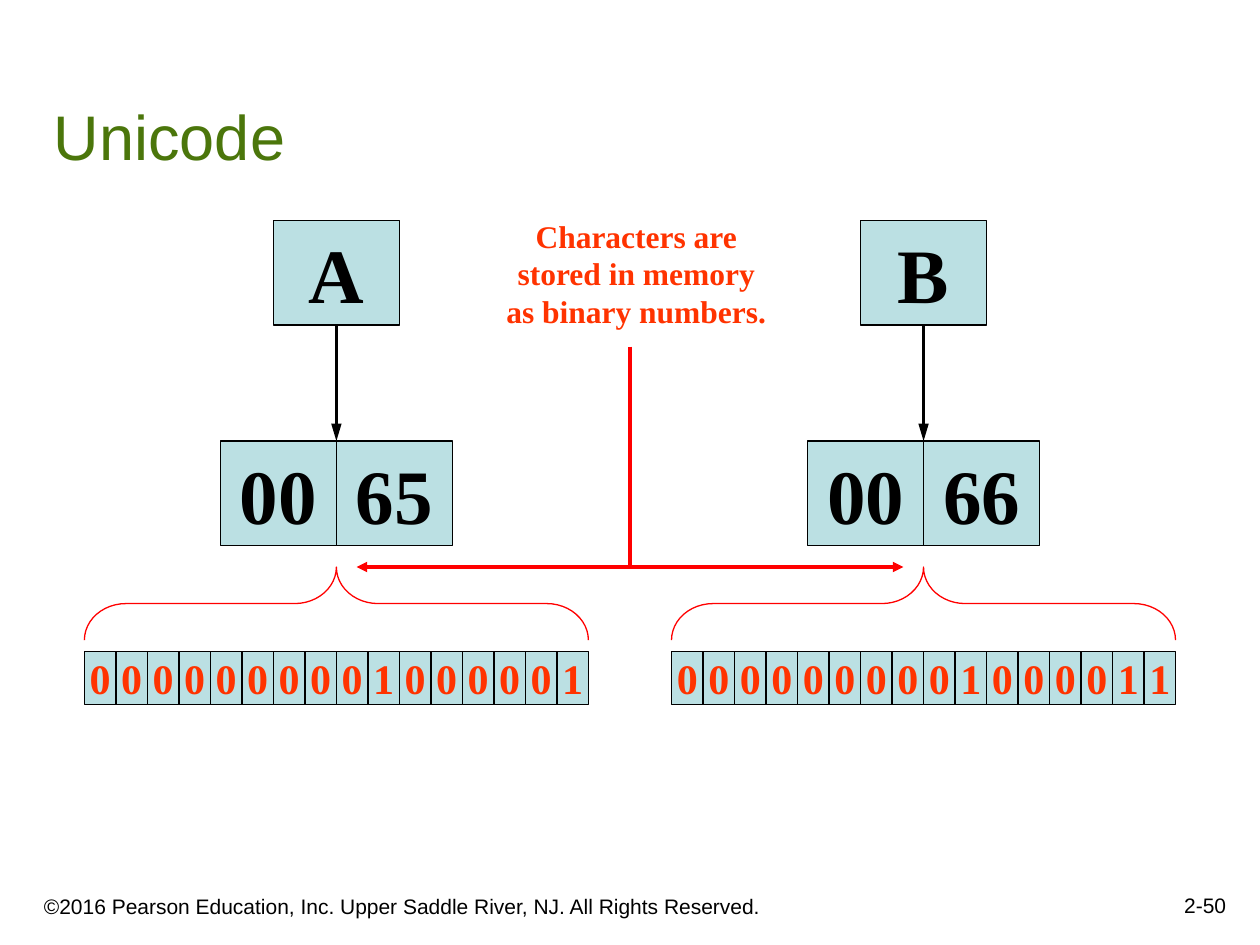
from lxml import etree
from pptx import Presentation
from pptx.dml.color import RGBColor
from pptx.enum.shapes import MSO_CONNECTOR, MSO_SHAPE
from pptx.enum.text import MSO_ANCHOR, PP_ALIGN
from pptx.oxml.ns import qn
from pptx.util import Inches, Pt

LEFT, CENTER, RIGHT = PP_ALIGN.LEFT, PP_ALIGN.CENTER, PP_ALIGN.RIGHT
TOP, MIDDLE, BOTTOM = MSO_ANCHOR.TOP, MSO_ANCHOR.MIDDLE, MSO_ANCHOR.BOTTOM
RECTANGLE, BRACE = MSO_SHAPE.RECTANGLE, MSO_SHAPE.RIGHT_BRACE
STRAIGHT = MSO_CONNECTOR.STRAIGHT

TITLE = "Unicode"
CAPTION = ["Characters are", "stored in memory\vas binary numbers."]
COPYRIGHT = "©2016 Pearson Education, Inc. Upper Saddle River, NJ. All Rights Reserved."
PAGE_NUMBER = "2-50"
# Each letter: horizontal centre, character, two code bytes, sixteen bits
LETTERS = [
    (2.67, "A", ("00", "65"), "0000000001000001"),
    (7.33, "B", ("00", "66"), "0000000001000011"),
]


def color(value):
    return RGBColor.from_string(value)


BLACK, RED = color("000000"), color("FF0000")
SANS, SERIF = "Arial", "Times New Roman"
THEME = {
    "cell": color("BBE0E3"),
    "title": {"name": SANS, "size": Pt(36), "color": color("4B760B")},
    "footer": {"name": SANS, "size": Pt(12), "color": BLACK},
    "code": {"name": SERIF, "size": Pt(44), "bold": True, "color": BLACK},
    "bit": {"name": SERIF, "size": Pt(24), "bold": True, "color": color("FF3300")},
    "caption": {"name": SERIF, "size": Pt(18), "bold": True, "color": color("FF3300")},
    "thin": {"color": BLACK, "width": Pt(0.75)},
    "arrow": {"color": BLACK, "width": Pt(1.5)},
    "brace": {"color": RED, "width": Pt(0.75)},
    "pointer": {"color": RED, "width": Pt(2)},
}

CHAR_TOP, CODE_TOP, BIT_TOP = 1.75, 3.5, 5.17
CHAR_WIDTH, CODE_WIDTH, BIT_WIDTH = 1, 0.92, 0.25
BOX_HEIGHT, BIT_HEIGHT = 0.83, 0.42
POINTER_TOP, POINTER_BOTTOM, POINTER_GAP = 2.75, 4.5, 0.16
BRACE_DEPTH = 0.58
MIDLINE = 5


def set_line(shape, style):
    shape.line.color.rgb = style["color"]
    shape.line.width = style["width"]


def write(box, paragraphs, style, align, anchor, wrap):
    frame = box.text_frame
    frame.word_wrap = wrap
    frame.vertical_anchor = anchor
    for index, text in enumerate(paragraphs):
        para = frame.paragraphs[0] if index == 0 else frame.add_paragraph()
        para.text = text
        para.alignment = align
        for span in para.runs:
            for key, value in style.items():
                if key == "color":
                    span.font.color.rgb = value
                else:
                    setattr(span.font, key, value)


def add_text(page, place, paragraphs, style, align, anchor, wrap=True):
    box = page.shapes.add_textbox(*map(Inches, place))
    write(box, paragraphs, style, align, anchor, wrap)


def add_cell(page, place, text, style):
    box = page.shapes.add_shape(RECTANGLE, *map(Inches, place))
    box.shadow.inherit = False
    box.fill.solid()
    box.fill.fore_color.rgb = THEME["cell"]
    set_line(box, THEME["thin"])
    write(box, [text], style, CENTER, MIDDLE, False)
    return box


def add_row(page, center, top, width, height, texts, style):
    """Lay touching cells side by side around a centre; return them."""
    left = center - width * len(texts) / 2
    return [add_cell(page, (left + i * width, top, width, height), text, style)
            for i, text in enumerate(texts)]


def add_line(page, start, end, style, heads=(), length="med"):
    """Heads holds "headEnd" and "tailEnd", in that order, as needed."""
    line = page.shapes.add_connector(STRAIGHT, *map(Inches, (*start, *end)))
    set_line(line, style)
    for head in heads:
        etree.SubElement(line.line._get_or_add_ln(), qn(f"a:{head}"),
                         type="triangle", w="med", len=length)
    etree.SubElement(line._element.spPr, qn("a:effectLst"))
    return line


def add_brace(page, center, top, span):
    """Turn a right brace so that its point faces up."""
    left = center - BRACE_DEPTH / 2
    upright_top = top + BRACE_DEPTH / 2 - span / 2
    brace = page.shapes.add_shape(
        BRACE, *map(Inches, (left, upright_top, BRACE_DEPTH, span)))
    brace.rotation = 270
    brace.adjustments[0] = 0.57
    brace.shadow.inherit = False
    brace.fill.background()
    set_line(brace, THEME["brace"])


def add_letter(page, center, char, code, bits):
    [char_box] = add_row(page, center, CHAR_TOP, CHAR_WIDTH, BOX_HEIGHT, [char], THEME["code"])
    add_row(page, center, CODE_TOP, CODE_WIDTH, BOX_HEIGHT, code, THEME["code"])
    arrow = add_line(page, (center, CHAR_TOP + BOX_HEIGHT), (center, CODE_TOP),
                     THEME["arrow"], ["tailEnd"], "lg")
    arrow.begin_connect(char_box, 2)
    add_row(page, center, BIT_TOP, BIT_WIDTH, BIT_HEIGHT, bits, THEME["bit"])
    add_brace(page, center, POINTER_BOTTOM, BIT_WIDTH * len(bits))


def main():
    deck = Presentation()
    deck.slide_width, deck.slide_height = Inches(10), Inches(7.5)
    page = deck.slides.add_slide(deck.slide_layouts[6])

    add_text(page, (0.25, 6.92, 6.08, 0.42), [COPYRIGHT], THEME["footer"], LEFT, BOTTOM)
    add_text(page, (7.75, 6.83, 2.08, 0.5), [PAGE_NUMBER], THEME["footer"], RIGHT, BOTTOM)
    add_text(page, (0.33, 0.33, 9.42, 1.09), [TITLE], THEME["title"], LEFT, BOTTOM)

    for letter in LETTERS:
        add_letter(page, *letter)

    add_text(page, (3.92, 1.67, 2.26, 1), CAPTION, THEME["caption"], CENTER, TOP, False)
    add_line(page, (MIDLINE, POINTER_TOP), (MIDLINE, POINTER_BOTTOM), THEME["pointer"])
    add_line(page, (LETTERS[0][0] + POINTER_GAP, POINTER_BOTTOM),
             (LETTERS[1][0] - POINTER_GAP, POINTER_BOTTOM),
             THEME["pointer"], ["headEnd", "tailEnd"])

    deck.save("out.pptx")


if __name__ == "__main__":
    main()
